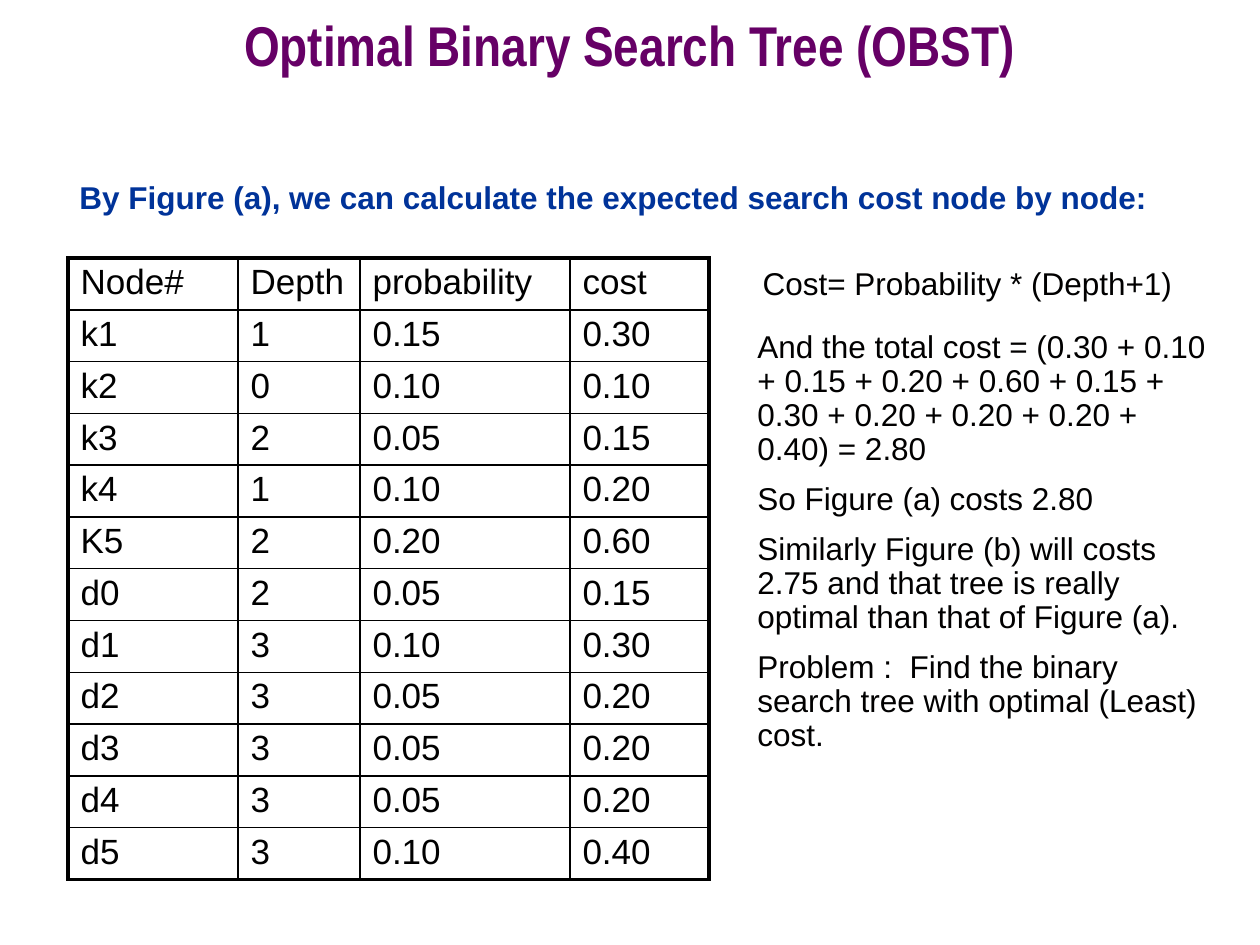
from pptx import Presentation
from pptx.dml.color import RGBColor
from pptx.enum.text import MSO_ANCHOR, PP_ALIGN
from pptx.oxml.ns import qn
from pptx.util import Emu, Pt
from lxml import etree

CENTER, LEFT = PP_ALIGN.CENTER, PP_ALIGN.LEFT
TOP, MIDDLE = MSO_ANCHOR.TOP, MSO_ANCHOR.MIDDLE

COLORS = {"title": "660066", "lead": "003399", "body": "010000", "table": "000000"}

TITLE = "Optimal Binary Search Tree (OBST)"
LEAD = "By Figure (a), we can calculate the expected search cost node by node:"
FORMULA = "Cost= Probability * (Depth+1)"
CONCLUSIONS = [
    "And the total cost = (0.30 + 0.10 + 0.15 + 0.20 + 0.60 + 0.15 + "
    "0.30 + 0.20 + 0.20 + 0.20 + 0.40) = 2.80",
    "So Figure (a) costs 2.80",
    "Similarly Figure (b) will costs 2.75 and that tree is really "
    "optimal than that of Figure (a).",
    "Problem :  Find the binary search tree with optimal (Least) cost.",
]
COST_ROWS = [
    ("Node#", "Depth", "probability", "cost"),
    ("k1", "1", "0.15", "0.30"),
    ("k2", "0", "0.10", "0.10"),
    ("k3", "2", "0.05", "0.15"),
    ("k4", "1", "0.10", "0.20"),
    ("K5", "2", "0.20", "0.60"),
    ("d0", "2", "0.05", "0.15"),
    ("d1", "3", "0.10", "0.30"),
    ("d2", "3", "0.05", "0.20"),
    ("d3", "3", "0.05", "0.20"),
    ("d4", "3", "0.05", "0.20"),
    ("d5", "3", "0.10", "0.40"),
]
COLUMN_WIDTHS = (170, 122, 210, 139)
TABLE_LEFT, TABLE_TOP, TABLE_HEIGHT = 68, 258, 622
CELL_MARGIN = 5
OUTER_LINE, INNER_LINE = 2.25, 1

# box in px, paragraphs, paragraph format, font format, color, anchor
TEXTS = [
    ((67, 179, 1142, 57), [LEAD], {"alignment": LEFT, "line_spacing": 0.8},
     {"size": Pt(18), "name": "Arial", "bold": True}, "lead", TOP),
    ((740, 258, 455, 50), [FORMULA], {"alignment": CENTER},
     {"size": Pt(18), "name": "Arial"}, "body", TOP),
    ((0, 0, 1260, 105), [TITLE], {"alignment": CENTER, "line_spacing": 0.7},
     {"size": Pt(32), "name": "Arial Narrow", "bold": True}, "title", MIDDLE),
    ((745, 325, 484, 447), CONCLUSIONS, {"alignment": LEFT, "line_spacing": 0.9},
     {"size": Pt(18), "name": "Arial"}, "body", TOP),
]
PARAGRAPH_GAP = Pt(9)
CELL_FONT = {"size": Pt(20), "name": "Arial"}


def px(length):
    return Emu(round(length * 914400 / 126))


def apply_format(target, values):
    for attribute, value in values.items():
        setattr(target, attribute, value)


def style_font(font, values, color):
    apply_format(font, values)
    font.color.rgb = RGBColor.from_string(COLORS[color])


def add_text(slide, box, paragraphs, paragraph_format, font_format, color, anchor):
    frame = slide.shapes.add_textbox(*map(px, box)).text_frame
    frame.word_wrap = True
    frame.vertical_anchor = anchor
    for index, text in enumerate(paragraphs):
        paragraph = frame.add_paragraph() if index else frame.paragraphs[0]
        paragraph.text = text
        apply_format(paragraph, paragraph_format)
        if index:
            paragraph.space_before = PARAGRAPH_GAP
        style_font(paragraph.font, font_format, color)


def set_borders(cell, outer_sides):
    """Draw all four cell borders, thicker on the table's outer sides."""
    properties = cell._tc.get_or_add_tcPr()
    for index, (side, is_outer) in enumerate(outer_sides.items()):
        line = etree.Element(qn(f"a:{side}"))
        line.set("w", str(Pt(OUTER_LINE if is_outer else INNER_LINE)))
        fill = etree.SubElement(line, qn("a:solidFill"))
        etree.SubElement(fill, qn("a:srgbClr")).set("val", COLORS["table"])
        properties.insert(index, line)


def add_cost_table(slide):
    last_row, last_column = len(COST_ROWS) - 1, len(COLUMN_WIDTHS) - 1
    table = slide.shapes.add_table(
        len(COST_ROWS), len(COLUMN_WIDTHS), px(TABLE_LEFT), px(TABLE_TOP),
        px(sum(COLUMN_WIDTHS)), px(TABLE_HEIGHT)).table
    table.first_row = table.horz_banding = False
    for column, width in zip(table.columns, COLUMN_WIDTHS):
        column.width = px(width)
    for r, values in enumerate(COST_ROWS):
        table.rows[r].height = px(TABLE_HEIGHT / len(COST_ROWS))
        for c, value in enumerate(values):
            cell = table.cell(r, c)
            cell.text = value
            cell.margin_top = cell.margin_bottom = px(CELL_MARGIN)
            cell.fill.background()
            style_font(cell.text_frame.paragraphs[0].font, CELL_FONT, "table")
            set_borders(cell, {"lnL": c == 0, "lnR": c == last_column,
                               "lnT": r == 0, "lnB": r == last_row})


def main():
    deck = Presentation()
    deck.slide_width, deck.slide_height = px(1260), px(945)
    slide = deck.slides.add_slide(deck.slide_layouts[6])
    add_cost_table(slide)
    for text in TEXTS:
        add_text(slide, *text)
    deck.save("out.pptx")


if __name__ == "__main__":
    main()
